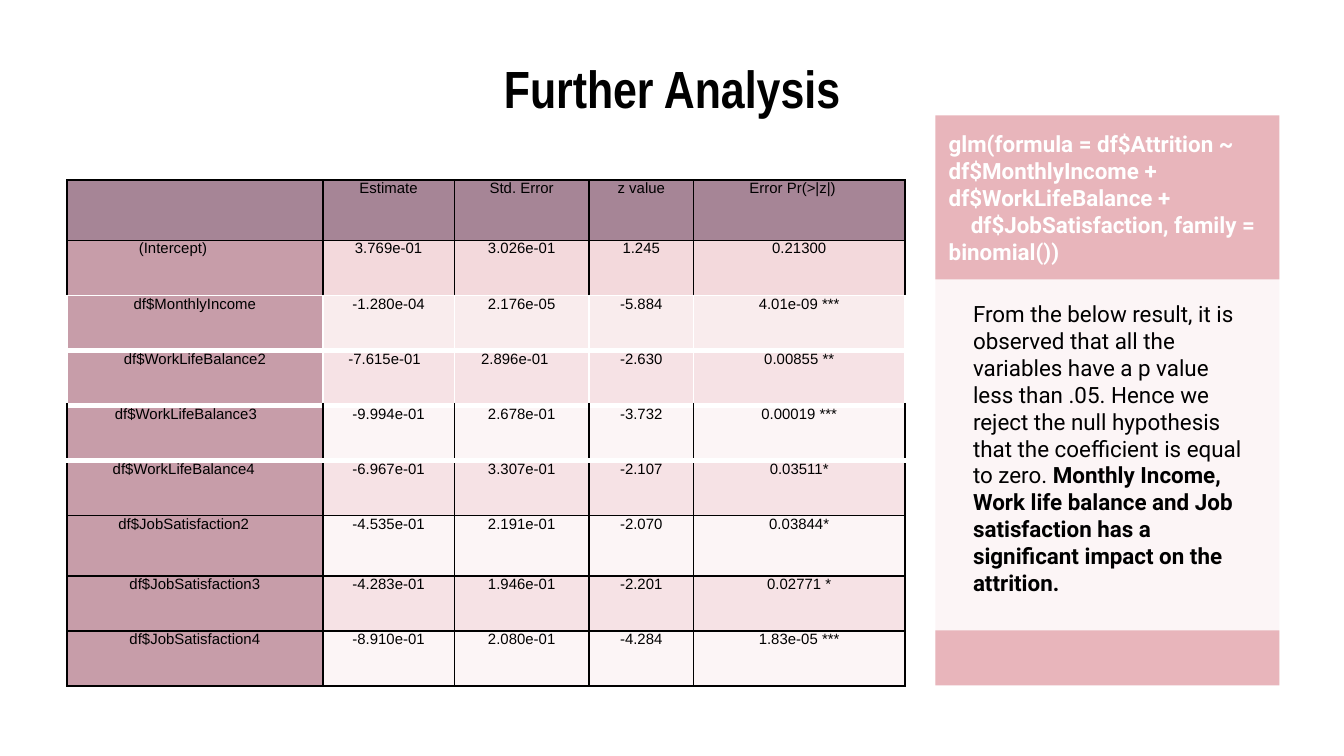
"""Build the "Further Analysis" slide: a regression table beside a panel with its formula and reading."""
import lxml.etree
import pptx
import pptx.enum.shapes
import pptx.enum.text
import pptx.oxml.ns
import pptx.util

Cm = pptx.util.Cm
qn = pptx.oxml.ns.qn
ALIGN = pptx.enum.text.PP_ALIGN
ANCHOR = pptx.enum.text.MSO_ANCHOR
BLACK, WHITE, PINK, ROSE, MAUVE = "000000", "FFFFFF", "E8B5BB", "C79DA9", "A68596"


def paint(fill, color, opacity=100):
    fill.solid()
    fill.fore_color.rgb = pptx.dml.color.RGBColor.from_string(color)
    if opacity < 100:
        tint = fill._xPr.find(qn("a:solidFill")).find(qn("a:srgbClr"))
        lxml.etree.SubElement(tint, qn("a:alpha"), val=str(opacity * 1000))


def write(para, text, size=12, font="Roboto", color=BLACK, bold=False, align=ALIGN.LEFT):
    para.alignment = align
    span = para.add_run()
    span.text = text
    span.font.size = pptx.util.Pt(size)
    span.font.name = font
    span.font.bold = bold
    paint(span.font.fill, color)


deck = pptx.Presentation()
deck.slide_width, deck.slide_height = Cm(25.4), Cm(14.28)
page = deck.slides.add_slide(deck.slide_layouts[5])

title = page.shapes.title
title.left, title.top, title.width, title.height = Cm(1.27), Cm(1.14), Cm(22.86), Cm(1.04)
title.text_frame.auto_size = pptx.enum.text.MSO_AUTO_SIZE.NONE
title.text_frame.vertical_anchor = ANCHOR.MIDDLE
write(title.text_frame.paragraphs[0], "Further Analysis", size=28, font="Arial Narrow", bold=True, align=ALIGN.CENTER)

panels = []
for top, height, opacity in [(3.4, 9.53, 13), (11.91, 1.04, 100), (2.18, 3.1, 100)]:
    panel = page.shapes.add_shape(
        pptx.enum.shapes.MSO_SHAPE.RECTANGLE, Cm(17.68), Cm(top), Cm(6.5), Cm(height))
    panel.shadow.inherit = False
    panel.line.fill.background()
    paint(panel.fill, PINK, opacity)
    panels.append(panel)

formula = panels[-1].text_frame
reading = page.shapes.add_textbox(Cm(18.14), Cm(5.38), Cm(5.61), Cm(6.17)).text_frame
for frame in (formula, reading):
    frame.word_wrap = True
    frame.vertical_anchor = ANCHOR.MIDDLE
    frame.margin_left = frame.margin_right = frame.margin_top = frame.margin_bottom = Cm(0.25)

write(formula.paragraphs[0], "glm(formula = df$Attrition ~ df$MonthlyIncome + df$WorkLifeBalance +",
      color=WHITE, bold=True)
family = formula.add_paragraph()
write(family, "df$JobSatisfaction, family = binomial())", color=WHITE, bold=True)
family._p.get_or_add_pPr().set("indent", str(Cm(0.42)))

write(reading.paragraphs[0],
      "From the below result, it is observed that all the variables have a p value less than .05. "
      "Hence we reject the null hypothesis that the coefficient is equal to zero. ")
write(reading.paragraphs[0],
      "Monthly Income, Work life balance and Job satisfaction has a significant impact on the attrition.",
      bold=True)

results = [
    ["", "Estimate", "Std. Error", "z value", "Error Pr(>|z|)"],
    ["(Intercept)", "3.769e-01", "3.026e-01", "1.245", "0.21300"],
    ["df$MonthlyIncome", "-1.280e-04", "2.176e-05", "-5.884", "4.01e-09 ***"],
    ["df$WorkLifeBalance2", "-7.615e-01", "2.896e-01", "-2.630", "0.00855 **"],
    ["df$WorkLifeBalance3", "-9.994e-01", "2.678e-01", "-3.732", "0.00019 ***"],
    ["df$WorkLifeBalance4", "-6.967e-01", "3.307e-01", "-2.107", "0.03511*"],
    ["df$JobSatisfaction2", "-4.535e-01", "2.191e-01", "-2.070", "0.03844*"],
    ["df$JobSatisfaction3", "-4.283e-01", "1.946e-01", "-2.201", "0.02771 *"],
    ["df$JobSatisfaction4", "-8.910e-01", "2.080e-01", "-4.284", "1.83e-05 ***"],
]
column_widths = [4.83, 2.49, 2.54, 1.98, 3.99]
row_heights = [1.14, 1.04, 1.04, 1.04, 1.04, 1.04, 1.14, 1.04, 1.04]
row_opacities = [100, 50, 25, 38, 13, 38, 13, 38, 13]
extra_right_margins = {(0, 4): 0.25, (1, 0): 0.83, (3, 1): 0.15, (3, 2): 0.26,
                       (4, 0): 0.34, (5, 0): 0.42, (6, 0): 0.42}
black_line = (BLACK, 1)
white_rules = {2: (WHITE, 1), 3: (WHITE, 3), 4: (WHITE, 3), 5: (WHITE, 3)}

table = page.shapes.add_table(
    len(results), len(column_widths), Cm(1.27), Cm(3.4), Cm(sum(column_widths)), Cm(sum(row_heights))).table
table.first_row = table.horz_banding = False
for column, width in zip(table.columns, column_widths):
    column.width = Cm(width)

for r, values in enumerate(results):
    table.rows[r].height = Cm(row_heights[r])
    side = (WHITE, 1) if r in (2, 3) else black_line
    borders = {"L": side, "R": side, "T": white_rules.get(r, black_line),
               "B": white_rules.get(r + 1, black_line)}
    for c, value in enumerate(values):
        cell = table.cell(r, c)
        cell.margin_top = cell.margin_bottom = 0
        cell.margin_left = Cm(0.15)
        cell.margin_right = Cm(0.15 + extra_right_margins.get((r, c), 0))
        cell.vertical_anchor = ANCHOR.TOP
        if value:
            write(cell.text_frame.paragraphs[0], value, size=8, font="Arial", align=ALIGN.CENTER)
        for edge, (color, points) in borders.items():
            line = lxml.etree.SubElement(
                cell._tc.get_or_add_tcPr(), qn("a:ln" + edge), w=str(pptx.util.Pt(points)))
            solid = lxml.etree.SubElement(line, qn("a:solidFill"))
            lxml.etree.SubElement(solid, qn("a:srgbClr"), val=color)
        if r == 0:
            paint(cell.fill, MAUVE)
        elif c == 0:
            paint(cell.fill, ROSE)
        else:
            paint(cell.fill, PINK, row_opacities[r])

deck.save("out.pptx")
